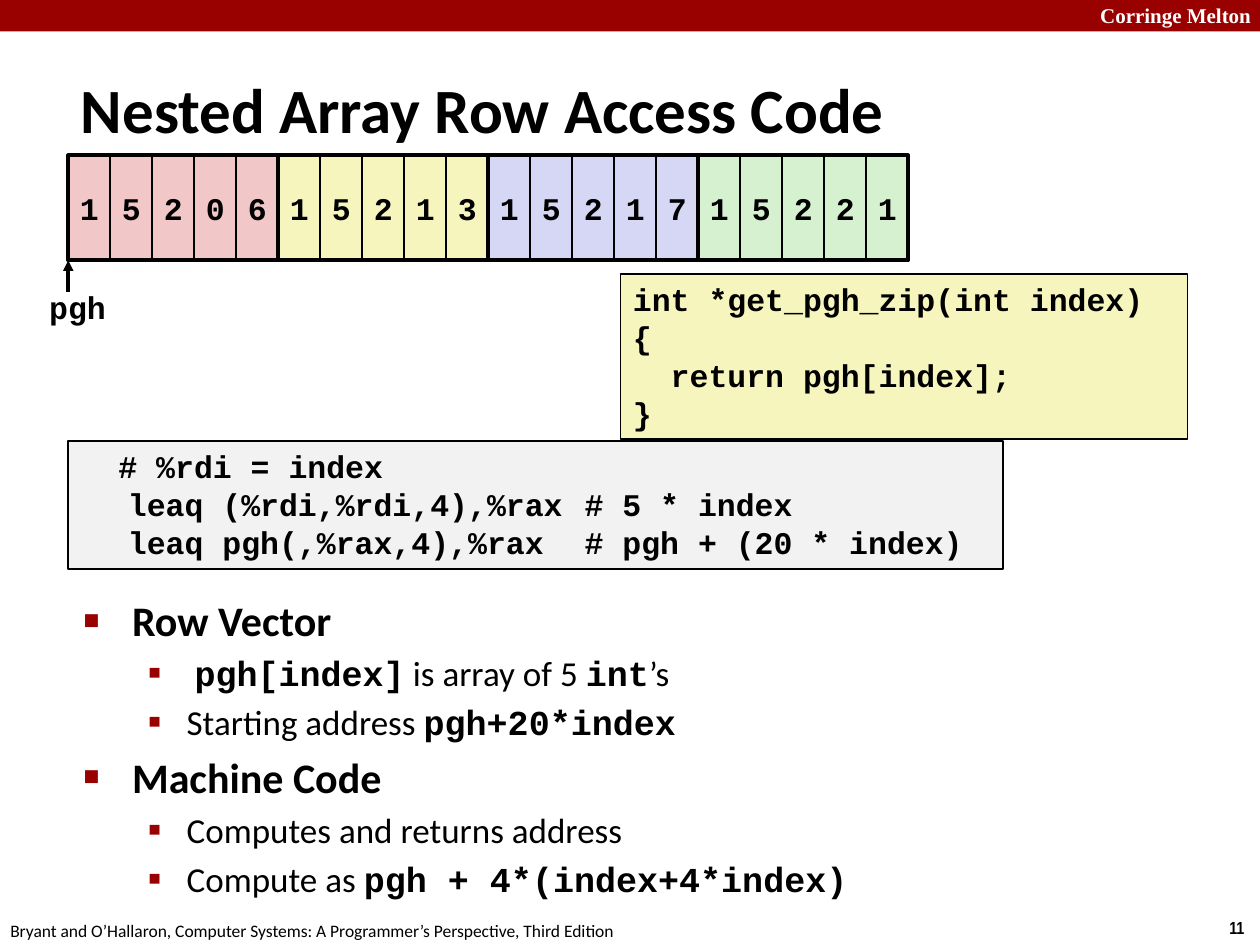
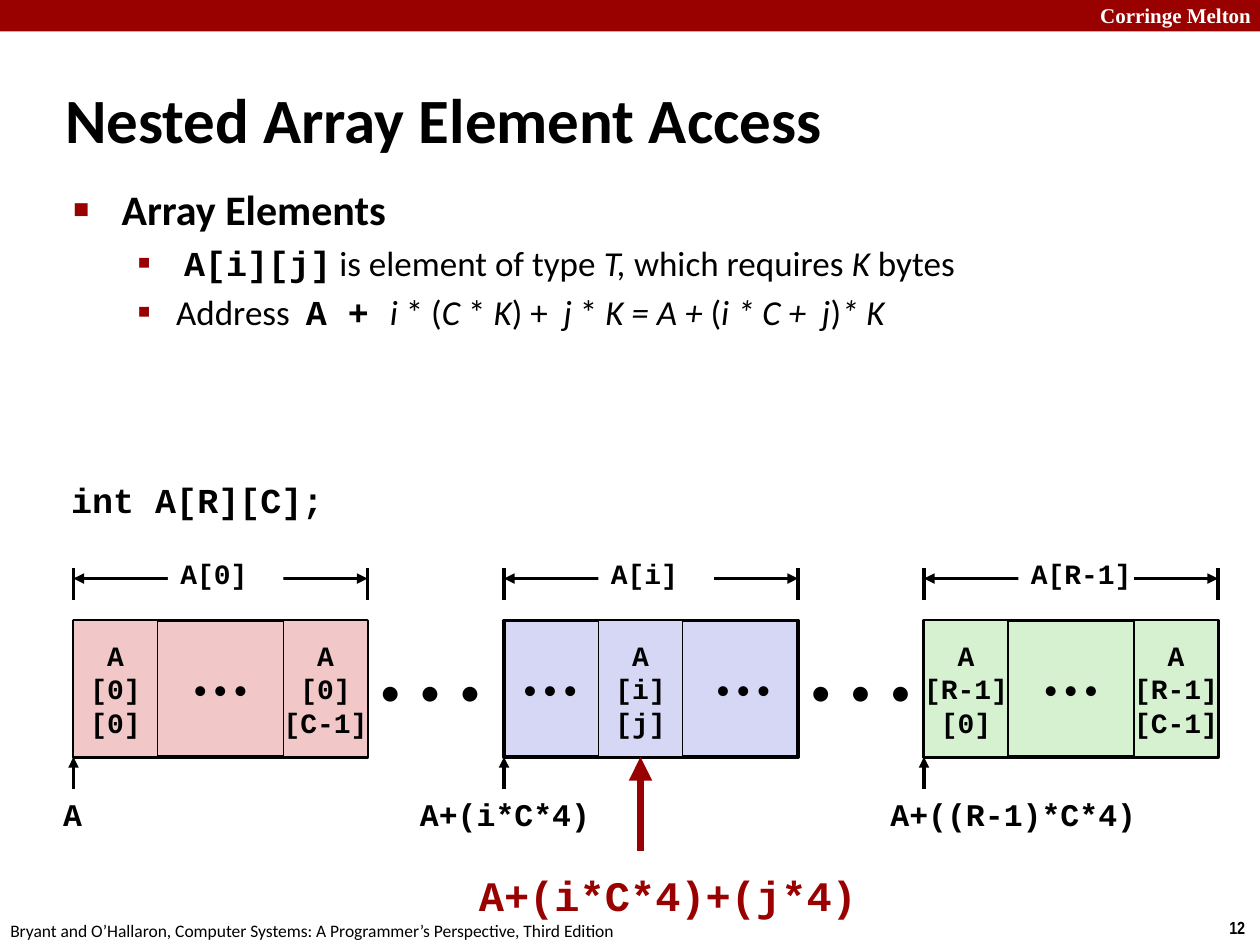
from dataclasses import dataclass
from typing import NamedTuple

from lxml.etree import SubElement
from pptx import Presentation
from pptx.dml.color import RGBColor
from pptx.enum.shapes import MSO_CONNECTOR, MSO_SHAPE
from pptx.enum.text import MSO_ANCHOR as Anchor, MSO_AUTO_SIZE, PP_ALIGN as Align
from pptx.oxml import parse_xml
from pptx.oxml.ns import nsdecls, qn
from pptx.util import Emu, Pt

EMU_PER_PX = 7620  # 120 px to the inch
TITLE_ONLY = 5

BLACK, WHITE, RED = "000000", "FFFFFF", "990000"
PINK, YELLOW, BLUE, GREEN, GREY = "F1C7C7", "F6F5BD", "D6D6F5", "D5F1CF", "F2F2F2"
SANS, MONO = "Calibri", "Courier New"

SCHOOL = "Corringe Melton"
BOOK = ("Bryant and O’Hallaron, Computer Systems: "
        "A Programmer’s Perspective, Third Edition")


class Box(NamedTuple):
    left: int
    top: int
    width: int
    height: int


class Style(NamedTuple):
    size: int
    name: str = MONO
    bold: bool = True
    italic: bool = False
    colour: str = BLACK


class Bullet(NamedTuple):
    char: str
    percent: int
    margin: int
    hanging: int


@dataclass(frozen=True)
class ArrayRow:
    """One row of the nested array; offsets run from its left edge."""
    left: int
    colour: str
    label: str
    cells: dict[int, str]
    dot_centres: tuple[int, ...]
    address: str
    address_box: Box


CODE, CELL_CODE = Style(18), Style(16)
DOTS, WIDE_DOTS = Style(16, SANS, False), Style(24, SANS, False)
HEADING, PLAIN = Style(24, SANS), Style(20, SANS, False)
ITALIC, INLINE_CODE = Style(20, SANS, False, True), Style(20)
BULLETS = {0: Bullet("■", 40, 46, 46), 1: Bullet("▪", 110, 98, 37)}

Runs = list[tuple[str, Style]]


def px(length: int) -> Emu:
    return Emu(length * EMU_PER_PX)


def rgb(colour: str) -> RGBColor:
    return RGBColor.from_string(colour)


def apply_style(font, style: Style) -> None:
    font.size, font.name = Pt(style.size), style.name
    font.bold, font.italic = style.bold, style.italic
    font.color.rgb = rgb(style.colour)


def add_box(slide, box: Box, text: str = "", style: Style = CODE, fill: str = "",
            line: float = 0, align=Align.LEFT, anchor=Anchor.TOP,
            wrap: bool = False, inset: int = 12):
    """Add a rectangle, or a text box when it has neither fill nor line."""
    place = [px(length) for length in box]
    if fill or line:
        shape = slide.shapes.add_shape(MSO_SHAPE.RECTANGLE, *place)
        shape.shadow.inherit = False
        if fill:
            shape.fill.solid()
            shape.fill.fore_color.rgb = rgb(fill)
        else:
            shape.fill.background()
        if line:
            shape.line.color.rgb = rgb(BLACK)
            shape.line.width = Pt(line)
        else:
            shape.line.fill.background()
    else:
        shape = slide.shapes.add_textbox(*place)
    frame = shape.text_frame
    frame.word_wrap, frame.vertical_anchor = wrap, anchor
    frame.margin_left = frame.margin_right = px(inset)
    if text:
        frame.text = text
        for paragraph in frame.paragraphs:
            paragraph.alignment = align
            apply_style(paragraph.font, style)
    return shape


def add_line(slide, start: tuple[int, int], end: tuple[int, int], width: float = 2,
             colour: str = BLACK, heads: tuple[str, ...] = ()) -> None:
    """Add a straight line; heads names the ends ("headEnd", "tailEnd") with arrows."""
    connector = slide.shapes.add_connector(
        MSO_CONNECTOR.STRAIGHT, *(px(length) for length in start + end))
    connector.line.color.rgb = rgb(colour)
    connector.line.width = Pt(width)
    for head in heads:
        SubElement(connector.line._get_or_add_ln(), qn(f"a:{head}"), type="triangle")
    SubElement(connector._element.spPr, qn("a:effectLst"))


def add_pointer(slide, x: int, bottom: int, top: int, width: float = 2,
                colour: str = BLACK) -> None:
    add_line(slide, (x, bottom), (x, top), width, colour, ("tailEnd",))


def set_bullet(paragraph, bullet: Bullet) -> None:
    properties = paragraph._p.get_or_add_pPr()
    properties.set("marL", str(px(bullet.margin)))
    properties.set("indent", str(-px(bullet.hanging)))
    for child in (
        '<a:spcBef {}><a:spcPct val="20000"/></a:spcBef>',
        f'<a:buClr {{}}><a:srgbClr val="{RED}"/></a:buClr>',
        f'<a:buSzPct {{}} val="{bullet.percent * 1000}"/>',
        f'<a:buFont {{}} typeface="{SANS}"/>',
        f'<a:buChar {{}} char="{bullet.char}"/>',
    ):
        properties.append(parse_xml(child.format(nsdecls("a"))))


def set_tabs(paragraph, stops: tuple[int, ...]) -> None:
    tabs = parse_xml(f'<a:tabLst {nsdecls("a")}/>')
    for stop in stops:
        SubElement(tabs, qn("a:tab"), pos=str(px(stop)), algn="l")
    properties = paragraph._p.get_or_add_pPr()
    defaults = properties.find(qn("a:defRPr"))
    if defaults is None:
        properties.append(tabs)
    else:
        defaults.addprevious(tabs)


def add_bullets(slide, box: Box, items: list[tuple[int, Runs]]) -> None:
    frame = add_box(slide, box, wrap=True).text_frame
    for index, (level, runs) in enumerate(items):
        paragraph = frame.add_paragraph() if index else frame.paragraphs[0]
        paragraph.level = level
        set_bullet(paragraph, BULLETS[level])
        for text, style in runs:
            run = paragraph.add_run()
            run.text = text
            if len(runs) > 1:
                apply_style(run.font, style)
        if len(runs) == 1:
            apply_style(paragraph.font, runs[0][1])


def add_slide(presentation, title: str, title_box: Box, number: int):
    """Add a slide with its title, top band and footer."""
    slide = presentation.slides.add_slide(presentation.slide_layouts[TITLE_ONLY])
    add_box(slide, Box(0, 0, 1200, 30), fill=RED)
    add_box(slide, Box(1036, -3, 172, 36), SCHOOL,
            Style(12, "Times New Roman", colour=WHITE))
    add_box(slide, Box(1159, 867, 41, 32), str(number), Style(10, "Arial Narrow"))
    add_box(slide, Box(-2, 870, 610, 32), BOOK, Style(10, SANS, False))

    shape = slide.shapes.title
    shape.left, shape.top, shape.width, shape.height = map(px, title_box)
    frame = shape.text_frame
    frame.text = title
    frame.auto_size = MSO_AUTO_SIZE.NONE
    frame.vertical_anchor = Anchor.MIDDLE
    frame.paragraphs[0].alignment = Align.LEFT
    apply_style(frame.paragraphs[0].font, Style(36, SANS))
    return slide


def add_zip_codes(slide) -> None:
    left, top, cell_width, height = 65, 148, 40, 100
    rows = {"15206": PINK, "15213": YELLOW, "15217": BLUE, "15221": GREEN}
    row_width = 5 * cell_width
    for row, (digits, colour) in enumerate(rows.items()):
        for column, digit in enumerate(digits):
            x = left + row * row_width + column * cell_width
            add_box(slide, Box(x, top, cell_width, height), digit, fill=colour, line=1,
                    align=Align.CENTER, anchor=Anchor.MIDDLE, inset=0)
    for row in range(len(rows)):
        add_box(slide, Box(left + row * row_width, top, row_width, height), line=2.25)
    add_pointer(slide, left, 278, top + height)
    add_box(slide, Box(35, 268, 79, 48), "pgh")


def build_row_access(presentation) -> None:
    slide = add_slide(presentation, "Nested Array Row Access Code",
                      Box(65, 65, 1003, 76), 11)
    add_bullets(slide, Box(68, 560, 972, 320), [
        (0, [("Row Vector", HEADING)]),
        (1, [(" ", PLAIN), ("pgh[index]", INLINE_CODE), (" is array of 5 ", PLAIN),
             ("int", INLINE_CODE), ("’s", PLAIN)]),
        (1, [("Starting address ", PLAIN), ("pgh+20*index", INLINE_CODE)]),
        (0, [("Machine Code", HEADING)]),
        (1, [("Computes and returns address", PLAIN)]),
        (1, [("Compute as ", PLAIN), ("pgh + 4*(index+4*index)", INLINE_CODE)]),
    ])
    c_code = "int *get_pgh_zip(int index)\n{\n  return pgh[index];\n}"
    add_box(slide, Box(591, 261, 540, 157), c_code, fill=YELLOW, line=1, wrap=True)
    assembly = ("  # %rdi = index\n"
                "\tleaq (%rdi,%rdi,4),%rax\t# 5 * index\n"
                "\tleaq pgh(,%rax,4),%rax\t# pgh + (20 * index)")
    shape = add_box(slide, Box(65, 420, 890, 122), assembly, fill=GREY, line=1, wrap=True)
    for paragraph in shape.text_frame.paragraphs:
        set_tabs(paragraph, (45, 346))
    add_zip_codes(slide)


def add_array_row(slide, row: ArrayRow) -> None:
    top, width, height, cell_width = 591, 280, 130, 80
    bottom, right = top + height, row.left + width
    add_box(slide, Box(row.left, top, width, height), fill=row.colour, line=2.25)
    for offset, text in row.cells.items():
        add_box(slide, Box(row.left + offset, top, cell_width, height), text, CELL_CODE,
                row.colour, 1, Align.CENTER, Anchor.MIDDLE, inset=0)
    for centre in row.dot_centres:
        dots_left = row.left + centre - cell_width // 2
        add_box(slide, Box(dots_left, top, cell_width, height), "• • •", DOTS,
                align=Align.CENTER, anchor=Anchor.MIDDLE, inset=0)
    for x in (row.left, right):
        add_line(slide, (x, 541), (x, 571))
    add_line(slide, (row.left, 551), (right, 551), heads=("headEnd", "tailEnd"))
    add_box(slide, Box(row.left + 90, 521, 110, 50), row.label, CELL_CODE, WHITE,
            anchor=Anchor.MIDDLE)
    add_pointer(slide, row.left, 751, bottom)
    add_box(slide, row.address_box, row.address, align=Align.CENTER, wrap=True)


def build_element_access(presentation) -> None:
    slide = add_slide(presentation, "Nested Array Element Access",
                      Box(50, 75, 910, 76), 12)
    add_bullets(slide, Box(58, 169, 1022, 191), [
        (0, [("Array Elements", HEADING)]),
        (1, [(" ", PLAIN), ("A[i][j]", INLINE_CODE), (" is element of type ", PLAIN),
             ("T, ", ITALIC), ("which requires ", PLAIN), ("K", ITALIC),
             (" bytes", PLAIN)]),
        (1, [("Address  ", PLAIN), ("A + ", INLINE_CODE), ("i ", ITALIC), ("* (", PLAIN),
             ("C ", ITALIC), ("* ", PLAIN), ("K", ITALIC), (") +  ", PLAIN),
             ("j", ITALIC), (" * ", PLAIN), ("K = A + ", ITALIC), ("(", PLAIN),
             ("i * C +  j", ITALIC), (")", PLAIN), ("* K", ITALIC)]),
    ])
    add_box(slide, Box(56, 450, 300, 52), "int A[R][C];", Style(20))

    rows = (
        ArrayRow(70, PINK, "A[0]", {0: "A\n[0]\n[0]", 200: "A\n[0]\n[C-1]"}, (140,),
                 "A", Box(43, 751, 52, 48)),
        ArrayRow(480, BLUE, "A[i]", {90: "A\n[i]\n[j]"}, (44, 228),
                 "A+(i*C*4)", Box(386, 751, 190, 48)),
        ArrayRow(880, GREEN, "A[R-1]", {0: "A\n[R-1]\n[0]", 200: "A\n[R-1]\n[C-1]"},
                 (140,), "A+((R-1)*C*4)", Box(830, 751, 270, 48)),
    )
    for row in rows:
        add_array_row(slide, row)
    for gap_left in (350, 760):
        add_box(slide, Box(gap_left, 592, 130, 130), "•  •  •", WIDE_DOTS,
                anchor=Anchor.MIDDLE)
    add_pointer(slide, 610, 810, 721, 4.5, RED)
    add_box(slide, Box(442, 822, 388, 60), "A+(i*C*4)+(j*4)", Style(24, colour=RED),
            align=Align.CENTER, wrap=True)


def main() -> None:
    presentation = Presentation()
    presentation.slide_width, presentation.slide_height = px(1200), px(900)
    build_row_access(presentation)
    build_element_access(presentation)
    presentation.save("out.pptx")


if __name__ == "__main__":
    main()
